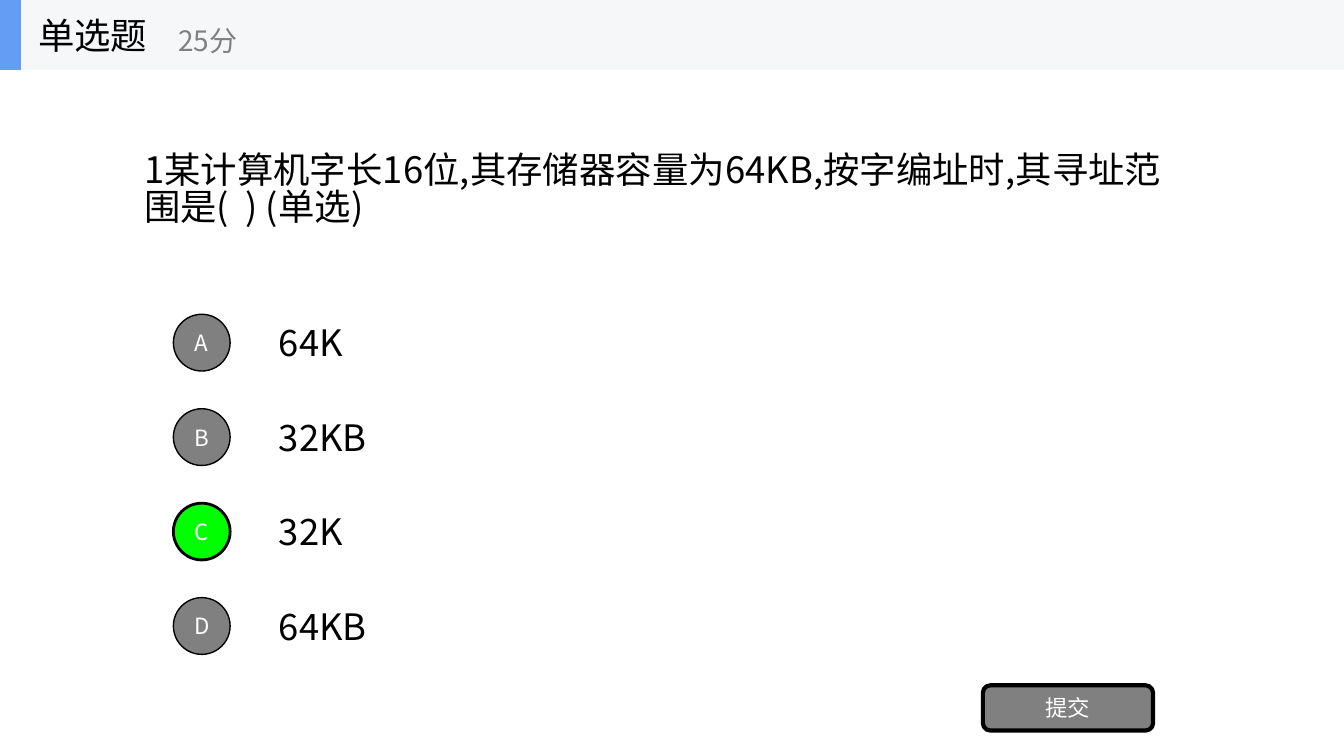
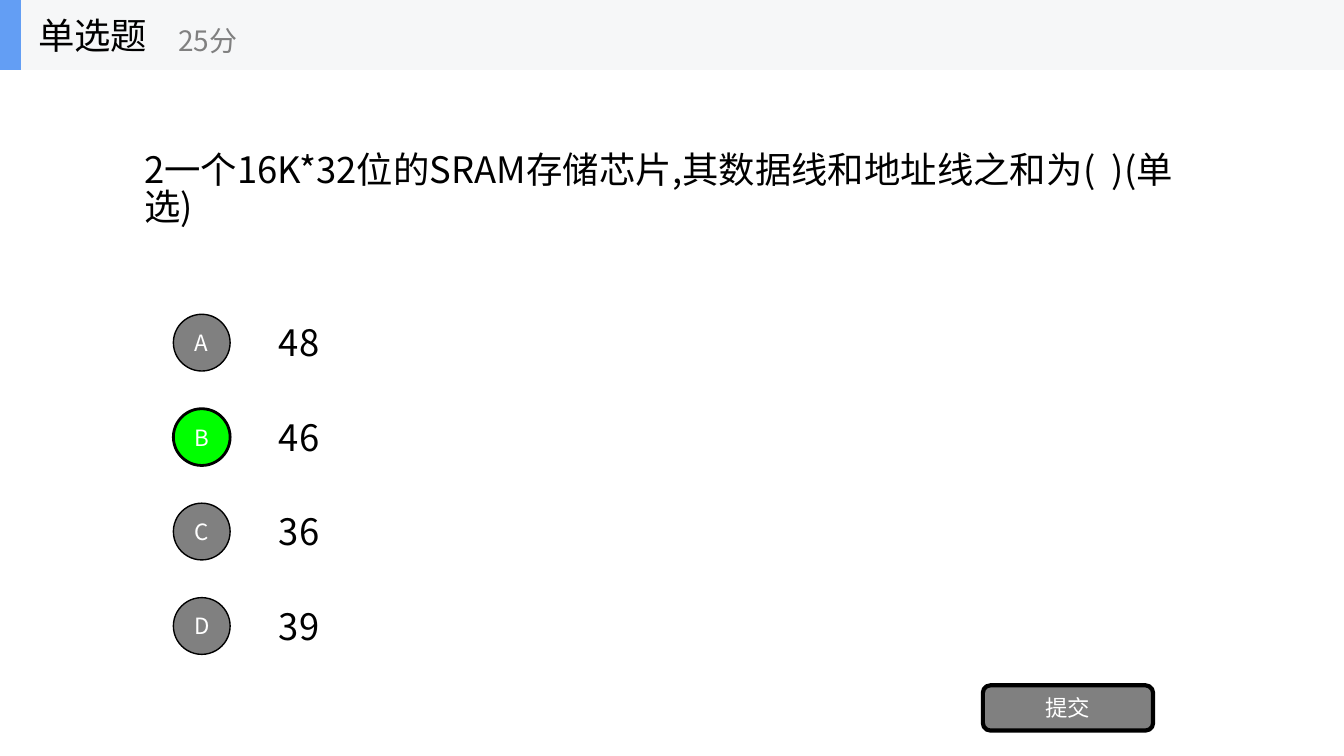
import pptx
import pptx.dml.color
import pptx.enum.shapes
import pptx.enum.text
import pptx.util
import lxml.etree

Cm, Pt = pptx.util.Cm, pptx.util.Pt
Kind = pptx.enum.shapes.MSO_SHAPE
Align = pptx.enum.text.PP_ALIGN

QUIZ = [
    {
        "ask": "1某计算机字长16位,其存储器容量为64KB,按字编址时,其寻址范围是(  ) (单选)",
        "picks": ["64K", "32KB", "32K", "64KB"],
        "key": "C",
    },
    {
        "ask": "2一个16K*32位的SRAM存储芯片,其数据线和地址线之和为(  )(单选)",
        "picks": ["48", "46", "36", "39"],
        "key": "B",
    },
]
TITLE, SCORE, SEND = "单选题", "25分", "提交"

FONT = "Noto Sans CJK SC"
BLACK, WHITE, GRAY, GREEN = "000000", "FFFFFF", "808080", "00FF00"
BAND, BLUE = "F6F7F8", "639EF4"
BIG, MID, SMALL = 26, 20, 16

WIDE, HIGH = 33.87, 19.05
BAR = 1.76            # header height
TOP, STEP = 7.92, 2.38  # first option and distance to the next
DOT = 1.43            # option circle


def tint(color):
    return pptx.dml.color.RGBColor.from_string(color)


def write(shape, text, size, color, align=Align.LEFT):
    frame = shape.text_frame
    frame.text = text
    frame.word_wrap = True
    frame.vertical_anchor = pptx.enum.text.MSO_ANCHOR.MIDDLE
    para = frame.paragraphs[0]
    para.alignment = align
    font = para.runs[0].font
    font.name, font.size = FONT, Pt(size)
    font.color.rgb = tint(color)
    # python-pptx sets only the Latin face; Chinese text needs a:ea
    east = lxml.etree.SubElement(font._element, pptx.oxml.ns.qn("a:ea"))
    east.set("typeface", FONT)


def label(shapes, box, text, size=BIG, color=BLACK):
    shape = shapes.add_textbox(*map(Cm, box))
    write(shape, text, size, color)
    return shape


def block(shapes, kind, box, fill, line=0):
    """Draw a filled shape; a line width of 0 means no outline."""
    shape = shapes.add_shape(kind, *map(Cm, box))
    shape.shadow.inherit = False
    shape.fill.solid()
    shape.fill.fore_color.rgb = tint(fill)
    if line:
        shape.line.color.rgb = tint(BLACK)
        shape.line.width = Pt(line)
    else:
        shape.line.fill.background()
    return shape


def button(shapes, kind, box, text, fill, line):
    shape = block(shapes, kind, box, fill, line)
    shape.text_frame.margin_left = shape.text_frame.margin_right = 0
    write(shape, text, SMALL, WHITE, Align.CENTER)


def header(slide):
    shapes = slide.shapes.add_group_shape().shapes
    block(shapes, Kind.RECTANGLE, (0, 0, WIDE, BAR), BAND)
    block(shapes, Kind.RECTANGLE, (0, 0, 0.53, BAR), BLUE)
    label(shapes, (0.71, 0, 5.28, BAR), TITLE)
    label(shapes, (4.24, 0.3, 6.35, 1.42), SCORE, MID, GRAY)


def question(slide, item):
    shapes = slide.shapes
    ask = label(shapes, (3.38, 3.58, 26.9, 2.46), item["ask"])
    ask.text_frame.paragraphs[0].line_spacing = 0.85
    for i, (mark, pick) in enumerate(zip("ABCD", item["picks"])):
        y = TOP + i * STEP
        fill, line = (GREEN, 2) if mark == item["key"] else (GRAY, 1)
        label(shapes, (6.78, y + 0.03, 5, 1.35), pick)
        button(shapes, Kind.OVAL, (4.37, y, DOT, DOT), mark, fill, line)
    button(shapes, Kind.ROUNDED_RECTANGLE, (24.77, 17.27, 4.29, 1.14),
           SEND, GRAY, 3)


def main():
    deck = pptx.Presentation()
    deck.slide_width, deck.slide_height = Cm(WIDE), Cm(HIGH)
    for item in QUIZ:
        slide = deck.slides.add_slide(deck.slide_layouts[6])
        question(slide, item)
        header(slide)
    deck.save("out.pptx")


if __name__ == "__main__":
    main()
